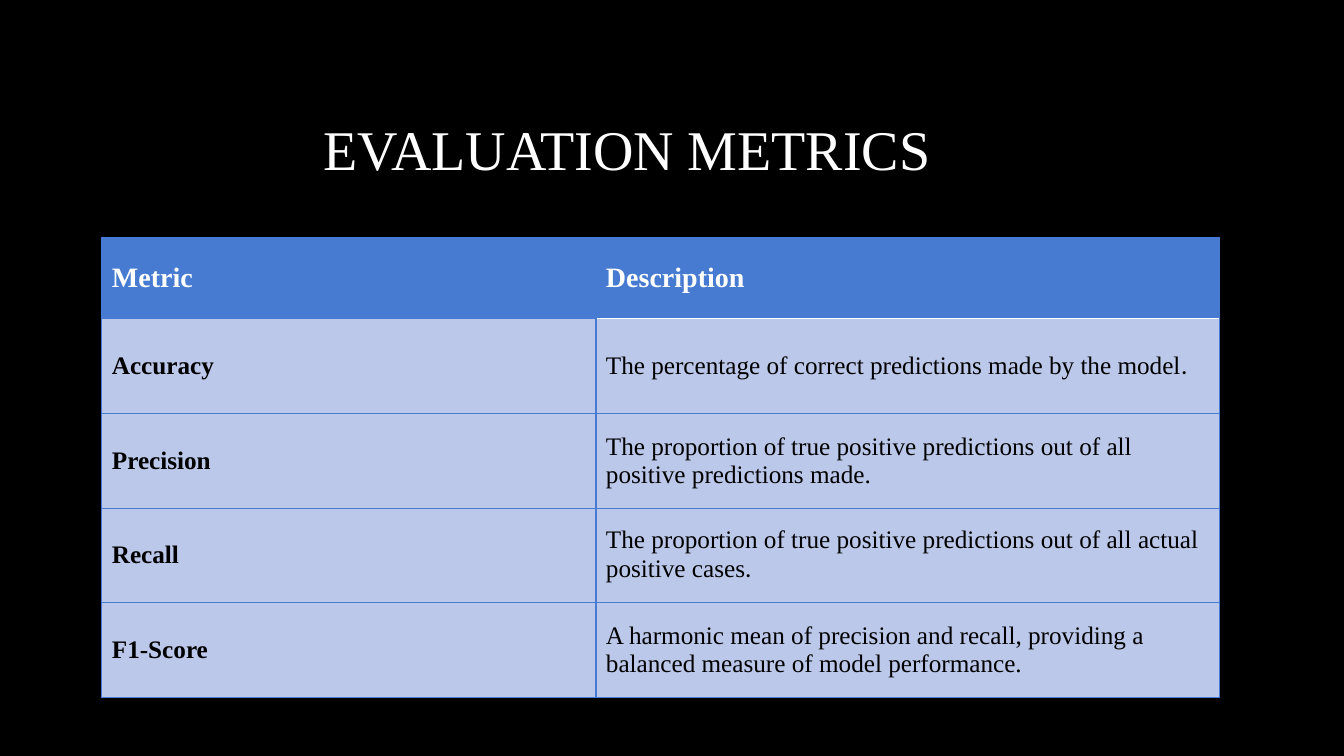
from dataclasses import dataclass

from lxml import etree
from pptx import Presentation
from pptx.dml.color import RGBColor
from pptx.enum import text
from pptx.oxml import ns
from pptx.util import Emu, Pt

SCALE = 9144
BLACK = RGBColor(0x00, 0x00, 0x00)
WHITE = RGBColor(0xFF, 0xFF, 0xFF)
BLUE = RGBColor(0x47, 0x7B, 0xD1)
PALE = RGBColor(0xBB, 0xC8, 0xEA)
SERIF = "Times New Roman"
SANS = "Calibri"
COLS = (490, 618)
HEAD, BODY = 80, 94


@dataclass(frozen=True)
class Metric:
    name: str
    note: str
    stop: str = ""


METRICS = (
    Metric("Accuracy", "The percentage of correct predictions made by the model", "."),
    Metric("Precision", "The proportion of true positive predictions out of all "
           "positive predictions made."),
    Metric("Recall", "The proportion of true positive predictions out of all "
           "actual positive cases", "."),
    Metric("F1-Score", "A harmonic mean of precision and recall, providing a "
           "balanced measure of model performance."),
)


def px(count: int) -> Emu:
    return Emu(count * SCALE)


def style(run, size: int, color: RGBColor, bold: bool = False, face: str = SERIF) -> None:
    run.font.name = face
    run.font.size = Pt(size)
    run.font.bold = bold
    run.font.color.rgb = color


def border(cell, side: str, color: RGBColor, width: float) -> None:
    props = cell._tc.get_or_add_tcPr()
    line = etree.SubElement(props, ns.qn(f"a:ln{side}"), w=str(Pt(width)))
    fill = etree.SubElement(line, ns.qn("a:solidFill"))
    etree.SubElement(fill, ns.qn("a:srgbClr"), val=str(color))


def draw_cell(cell, words: str, stop: str, row: int, col: int) -> None:
    head = row == 0
    size, color = (20, WHITE) if head else (18, BLACK)
    cell.vertical_anchor = text.MSO_ANCHOR.MIDDLE
    para = cell.text_frame.paragraphs[0]
    para.text = words
    style(para.runs[0], size, color, head or col == 0)
    if stop:
        dot = para.add_run()
        dot.text = stop
        style(dot, size, color, face=SANS)
    rule = (WHITE, 1.5) if col == 1 else (BLUE, 0.75)
    border(cell, "L", BLUE, 1.5 if col == 1 and not head else 0.75)
    border(cell, "R", BLUE, 1.5 if col == 0 and not head else 0.75)
    border(cell, "T", *(rule if row == 1 else (BLUE, 0.75)))
    border(cell, "B", *(rule if head else (BLUE, 0.75)))
    cell.fill.solid()
    cell.fill.fore_color.rgb = BLUE if head else PALE


def draw_title(slide) -> None:
    box = slide.shapes.add_textbox(px(75), px(67), px(1108), px(159))
    frame = box.text_frame
    frame.word_wrap = True
    frame.vertical_anchor = text.MSO_ANCHOR.MIDDLE
    para = frame.paragraphs[0]
    para.text = "EVALUATION METRICS "
    para.alignment = text.PP_ALIGN.CENTER
    style(para.runs[0], 40, WHITE)


def draw_table(slide) -> None:
    rows = (Metric("Metric", "Description"), *METRICS)
    high = HEAD + BODY * len(METRICS)
    grid = slide.shapes.add_table(
        len(rows), len(COLS), px(101), px(236), px(sum(COLS)), px(high)).table
    grid.first_row = grid.horz_banding = False
    for col, wide in enumerate(COLS):
        grid.columns[col].width = px(wide)
    for row, item in enumerate(rows):
        grid.rows[row].height = px(BODY if row else HEAD)
        draw_cell(grid.cell(row, 0), item.name, "", row, 0)
        draw_cell(grid.cell(row, 1), item.note, item.stop, row, 1)


def main() -> None:
    deck = Presentation()
    deck.slide_width, deck.slide_height = px(1333), px(750)
    slide = deck.slides.add_slide(deck.slide_layouts[6])
    slide.background.fill.solid()
    slide.background.fill.fore_color.rgb = BLACK
    draw_title(slide)
    draw_table(slide)
    deck.save("out.pptx")


if __name__ == "__main__":
    main()
